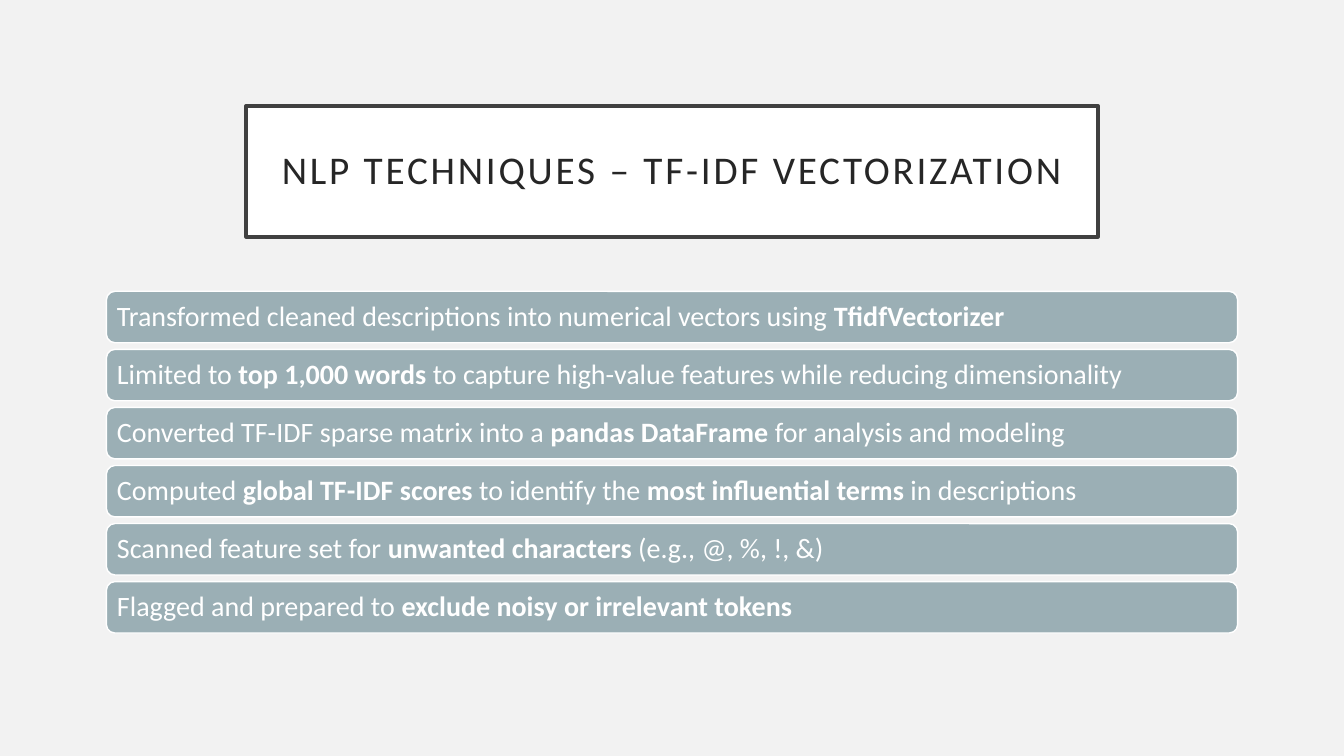
from pptx import Presentation
from pptx.dml.color import RGBColor
from pptx.enum.shapes import MSO_SHAPE as Shape
from pptx.enum.text import MSO_ANCHOR as Anchor, MSO_AUTO_SIZE as AutoSize, PP_ALIGN as Align
from pptx.util import Inches, Pt

TITLE = "NLP TECHNIQUES – TF-IDF VECTORIZATION"
# Each step is a list of runs that alternate between regular and bold.
STEPS = [
    ["Transformed cleaned descriptions into numerical vectors using ", "TfidfVectorizer"],
    ["Limited to ", "top 1,000 words",
     " to capture high-value features while reducing dimensionality"],
    ["Converted TF-IDF sparse matrix into a ", "pandas DataFrame",
     " for analysis and modeling"],
    ["Computed ", "global TF-IDF scores", " to identify the ",
     "most influential terms", " in descriptions"],
    ["Scanned feature set for ", "unwanted characters", " (e.g., @, %, !, &)"],
    ["Flagged and prepared to ", "exclude noisy or irrelevant tokens"],
]
COLORS = {"background": "F2F2F2", "white": "FFFFFF", "frame": "404040",
          "title": "262626", "bar": "9BAFB5"}
FONT = "Calibri"
SLIDE_WIDTH, SLIDE_HEIGHT = 13.33, 7.5
TITLE_WIDTH, TITLE_TOP, TITLE_HEIGHT = 8.45, 1.05, 1.3
BAR_WIDTH, BAR_TOP, BAR_HEIGHT, BAR_PITCH = 11.22, 2.89, 0.51, 0.576


def color(name):
    return RGBColor.from_string(COLORS[name])


def place(shape, top, width, height):
    """Center the shape across the slide."""
    shape.left = Inches((SLIDE_WIDTH - width) / 2)
    shape.top = Inches(top)
    shape.width, shape.height = Inches(width), Inches(height)


def paint(shape, fill, line, line_width):
    shape.fill.solid()
    shape.fill.fore_color.rgb = color(fill)
    shape.line.color.rgb = color(line)
    shape.line.width = Pt(line_width)


def write(shape, runs, size, ink, align=Align.LEFT, inset=0.08, spacing=0):
    """Fill the shape with one paragraph whose every second run is bold."""
    frame = shape.text_frame
    frame.word_wrap = True
    frame.auto_size = AutoSize.NONE
    frame.vertical_anchor = Anchor.MIDDLE
    frame.margin_left = frame.margin_right = Inches(inset)
    frame.margin_top = frame.margin_bottom = Inches(inset)
    paragraph = frame.paragraphs[0]
    paragraph.alignment = align
    paragraph.line_spacing = 0.9
    for index, text in enumerate(runs):
        run = paragraph.add_run()
        run.text = text
        run.font.name = FONT
        run.font.size = Pt(size)
        run.font.bold = index % 2 == 1
        run.font.color.rgb = color(ink)
        if spacing:
            run.font._element.set("spc", str(spacing * 100))


def main():
    presentation = Presentation()
    presentation.slide_width = Inches(SLIDE_WIDTH)
    presentation.slide_height = Inches(SLIDE_HEIGHT)
    slide = presentation.slides.add_slide(presentation.slide_layouts.get_by_name("Title Only"))
    slide.background.fill.solid()
    slide.background.fill.fore_color.rgb = color("background")

    title = slide.shapes.title
    place(title, TITLE_TOP, TITLE_WIDTH, TITLE_HEIGHT)
    paint(title, "white", "frame", 2.5)
    write(title, [TITLE], 28, "title", align=Align.CENTER, inset=0.2, spacing=2)

    steps = slide.shapes.add_group_shape()
    for row, runs in enumerate(STEPS):
        bar = steps.shapes.add_shape(Shape.ROUNDED_RECTANGLE, 0, 0, 0, 0)
        place(bar, BAR_TOP + row * BAR_PITCH, BAR_WIDTH, BAR_HEIGHT)
        bar.shadow.inherit = False
        paint(bar, "bar", "white", 1)
        write(bar, runs, 20, "white")
    # Fit the group to the bars, one unit of its inner space per slide unit.
    transform = steps._element.grpSpPr.get_or_add_xfrm()
    place(steps, BAR_TOP, BAR_WIDTH, BAR_PITCH * (len(STEPS) - 1) + BAR_HEIGHT)
    transform.chOff.x, transform.chOff.y = steps.left, steps.top
    transform.chExt.cx, transform.chExt.cy = steps.width, steps.height

    presentation.save("out.pptx")


if __name__ == "__main__":
    main()
